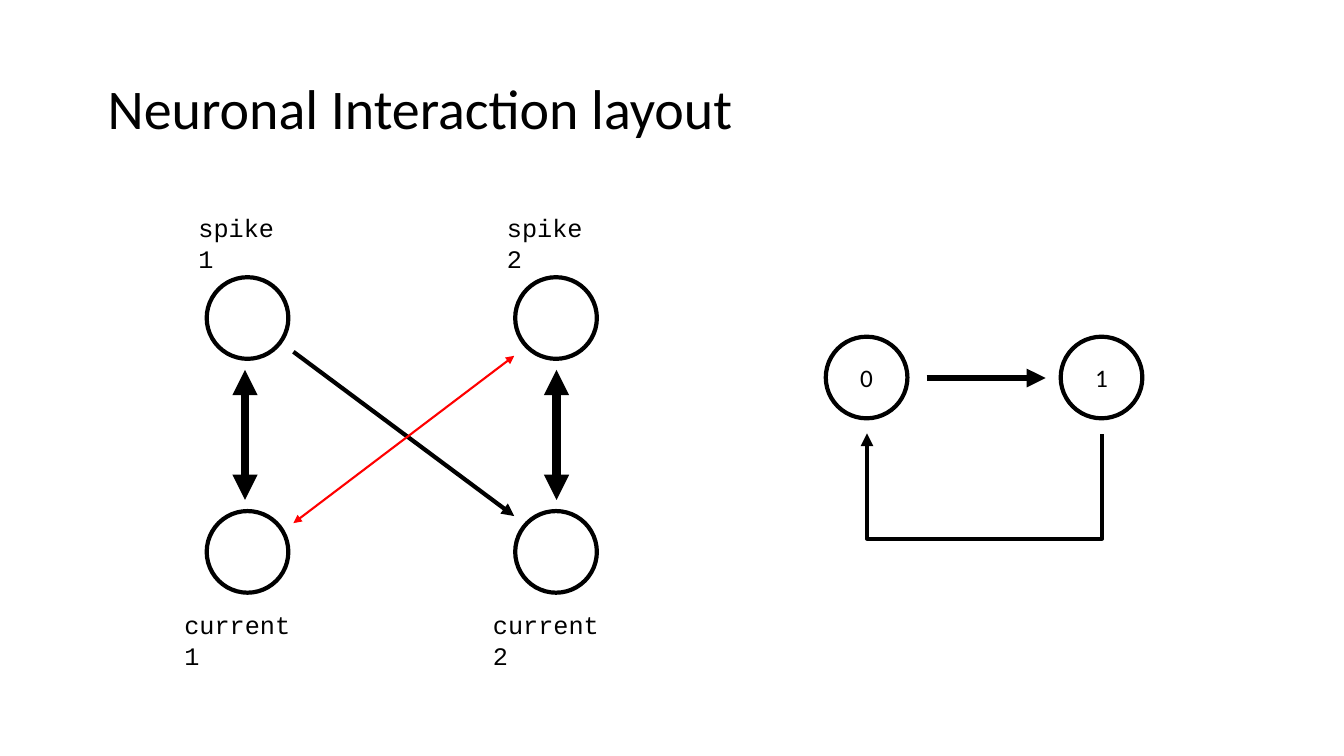
from lxml import etree
from pptx import Presentation
from pptx.dml.color import RGBColor
from pptx.enum import shapes, text
from pptx.oxml.ns import qn
from pptx.util import Inches, Pt

BLACK, RED = "000000", "FF0000"
CIRCLE_SIZE = 0.81


def color(hex_value):
    return RGBColor.from_string(hex_value)


def add_run(paragraph, wording, size, font):
    run = paragraph.add_run()
    run.text = wording
    run.font.size = Pt(size)
    run.font.name = font
    run.font.color.rgb = color(BLACK)


def add_label(parent, box, wording, size, font, anchor=text.MSO_ANCHOR.TOP,
              spacing=None):
    label = parent.add_textbox(*map(Inches, box))
    frame = label.text_frame
    frame.word_wrap = True
    frame.vertical_anchor = anchor
    frame.paragraphs[0].line_spacing = spacing
    add_run(frame.paragraphs[0], wording, size, font)


def add_circle(parent, left, top, state=None):
    circle = parent.add_shape(
        shapes.MSO_SHAPE.OVAL, Inches(left), Inches(top),
        Inches(CIRCLE_SIZE), Inches(CIRCLE_SIZE))
    circle.shadow.inherit = False
    circle.fill.background()
    circle.line.color.rgb = color(BLACK)
    circle.line.width = Pt(3)
    if state is not None:
        frame = circle.text_frame
        frame.vertical_anchor = text.MSO_ANCHOR.MIDDLE
        frame.paragraphs[0].alignment = text.PP_ALIGN.CENTER
        add_run(frame.paragraphs[0], state, 18, "Calibri")


def add_arrow(parent, start, end, width, hex_value=BLACK, both_ends=False,
              kind=shapes.MSO_CONNECTOR.STRAIGHT):
    arrow = parent.add_connector(kind, *map(Inches, start + end))
    arrow.line.color.rgb = color(hex_value)
    arrow.line.width = Pt(width)
    line = arrow.line._get_or_add_ln()
    if both_ends:
        etree.SubElement(line, qn("a:headEnd"), type="triangle")
    etree.SubElement(line, qn("a:tailEnd"), type="triangle")
    etree.SubElement(arrow._element.spPr, qn("a:effectLst"))
    return arrow


def add_return_arrow(parent):
    """Elbow from under state 1 to under state 0, turned a quarter."""
    back = add_arrow(parent, (9.77, 3.14), (9.76, 5.47), 3,
                     kind=shapes.MSO_CONNECTOR.ELBOW)
    properties = back._element.spPr
    properties.find(qn("a:xfrm")).set("rot", "5400000")
    geometry = properties.find(qn("a:prstGeom"))
    adjustments = geometry.find(qn("a:avLst"))
    if adjustments is None:
        adjustments = etree.SubElement(geometry, qn("a:avLst"))
    # The bend lies 105 connector widths (1.05 in) below the start
    etree.SubElement(adjustments, qn("a:gd"), name="adj1",
                     fmla="val -10500000")


def add_neurons(slide):
    neurons = slide.shapes.add_group_shape().shapes
    # One column per neuron: spike above, current below
    for number, left in ((1, 2.05), (2, 5.11)):
        for name, offset, top, width in (("spike", -0.18, 2.05, 1.17),
                                         ("current", -0.32, 5.99, 1.45)):
            add_label(neurons, (left + offset, top, width, 0.4),
                      f"{name} {number}", 18, "Courier New", spacing=Pt(22))
        for top in (2.75, 5.07):
            add_circle(neurons, left, top)
    # Links within each neuron
    for x in (2.43, 5.52):
        add_arrow(neurons, (x, 3.67), (x, 4.96), 6, both_ends=True)
    # Links across neurons
    add_arrow(neurons, (2.91, 3.49), (5.1, 5.12), 3)
    add_arrow(neurons, (2.91, 5.19), (5.1, 3.53), 1.5, RED, both_ends=True)


def add_states(slide):
    states = slide.shapes.add_group_shape().shapes
    for state, left in (("0", 8.19), ("1", 10.52)):
        add_circle(states, left, 3.34, state)
    add_arrow(states, (9.19, 3.75), (10.37, 3.75), 4.5)
    add_return_arrow(states)


def main():
    deck = Presentation()
    deck.slide_width, deck.slide_height = Inches(13.33), Inches(7.5)
    slide = deck.slides.add_slide(deck.slide_layouts[6])
    # Title
    add_label(slide.shapes, (0.97, 0.69, 7.02, 0.82),
              "Neuronal Interaction layout", 40, "Calibri",
              text.MSO_ANCHOR.MIDDLE, 0.9)
    # Diagrams
    add_neurons(slide)
    add_states(slide)
    deck.save("out.pptx")


if __name__ == "__main__":
    main()
